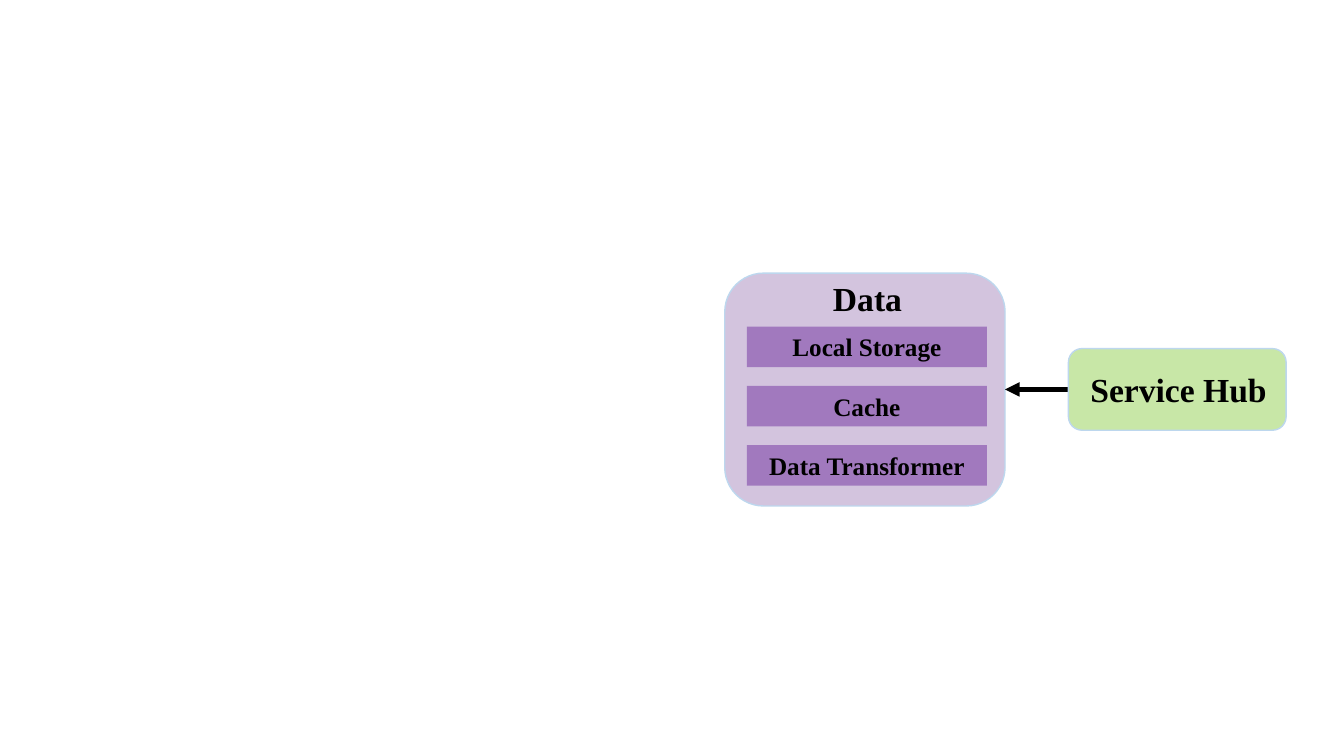
from lxml.etree import SubElement
from pptx import Presentation
from pptx.dml.color import RGBColor
from pptx.enum.shapes import MSO_CONNECTOR, MSO_SHAPE
from pptx.enum.text import MSO_ANCHOR, PP_ALIGN
from pptx.oxml.ns import qn
from pptx.util import Pt

DATA_TITLE = "Data"
DATA_PARTS = ["Local Storage", "Cache", "Data Transformer"]
SERVICE_TITLE = "Service Hub"

FONT = "Times New Roman"
BLACK = RGBColor(0x00, 0x00, 0x00)
PANEL_PURPLE = RGBColor(0x6E, 0x3C, 0x94)
BAR_PURPLE = RGBColor(0x70, 0x30, 0xA0)
GREEN = RGBColor(0x92, 0xD0, 0x50)
PALE_BLUE = RGBColor(0xBD, 0xD7, 0xEE)

PANEL = (517.7, 195.1, 200.2, 166.3)
PANEL_TITLE = (571, 195.1, 97.2, 36)
FIRST_BAR = (533.5, 233.3, 171.4, 29)
BAR_STEP = 42.3
SERVICE = (763.2, 249, 155.5, 58.3)
SERVICE_LABEL = (771.8, 260, 155.5, 36)


def add_box(group, kind, box, color, opacity, outline=None):
    shape = group.shapes.add_shape(kind, *map(Pt, box))
    shape.shadow.inherit = False
    shape.fill.solid()
    shape.fill.fore_color.rgb = color
    fill_color = shape._element.spPr.find(qn("a:solidFill"))[0]
    SubElement(fill_color, qn("a:alpha"), val=str(opacity * 1000))
    if outline is None:
        shape.line.fill.background()
    else:
        shape.line.color.rgb = outline
        shape.line.width = Pt(1)
    return shape


def write_text(shape, text, size=18, align=PP_ALIGN.CENTER):
    frame = shape.text_frame
    frame.word_wrap = True
    frame.vertical_anchor = MSO_ANCHOR.TOP
    paragraph = frame.paragraphs[0]
    paragraph.alignment = align
    run = paragraph.add_run()
    run.text = text
    run.font.name = FONT
    run.font.size = Pt(size)
    run.font.bold = True
    run.font.color.rgb = BLACK


def add_arrow(slide, start_x, end_x, y):
    arrow = slide.shapes.add_connector(
        MSO_CONNECTOR.STRAIGHT, Pt(start_x), Pt(y), Pt(end_x), Pt(y))
    arrow.line.color.rgb = BLACK
    arrow.line.width = Pt(3.5)
    SubElement(arrow.line._get_or_add_ln(), qn("a:tailEnd"), type="triangle")
    SubElement(arrow._element.spPr, qn("a:effectLst"))


def main():
    presentation = Presentation()
    presentation.slide_width = Pt(960)
    presentation.slide_height = Pt(540)
    slide = presentation.slides.add_slide(presentation.slide_layouts[6])

    data_group = slide.shapes.add_group_shape()
    add_box(data_group, MSO_SHAPE.ROUNDED_RECTANGLE, PANEL, PANEL_PURPLE, 30, PALE_BLUE)
    left, top, width, height = FIRST_BAR
    for index, part in enumerate(DATA_PARTS):
        bar = (left, top + index * BAR_STEP, width, height)
        write_text(add_box(data_group, MSO_SHAPE.RECTANGLE, bar, BAR_PURPLE, 50), part)
    title = data_group.shapes.add_textbox(*map(Pt, PANEL_TITLE))
    write_text(title, DATA_TITLE, size=24)

    add_arrow(slide, SERVICE[0], PANEL[0] + PANEL[2], SERVICE[1] + SERVICE[3] / 2)

    service_group = slide.shapes.add_group_shape()
    add_box(service_group, MSO_SHAPE.ROUNDED_RECTANGLE, SERVICE, GREEN, 50, PALE_BLUE)
    label = service_group.shapes.add_textbox(*map(Pt, SERVICE_LABEL))
    write_text(label, SERVICE_TITLE, size=24, align=PP_ALIGN.LEFT)

    presentation.save("out.pptx")


if __name__ == "__main__":
    main()
